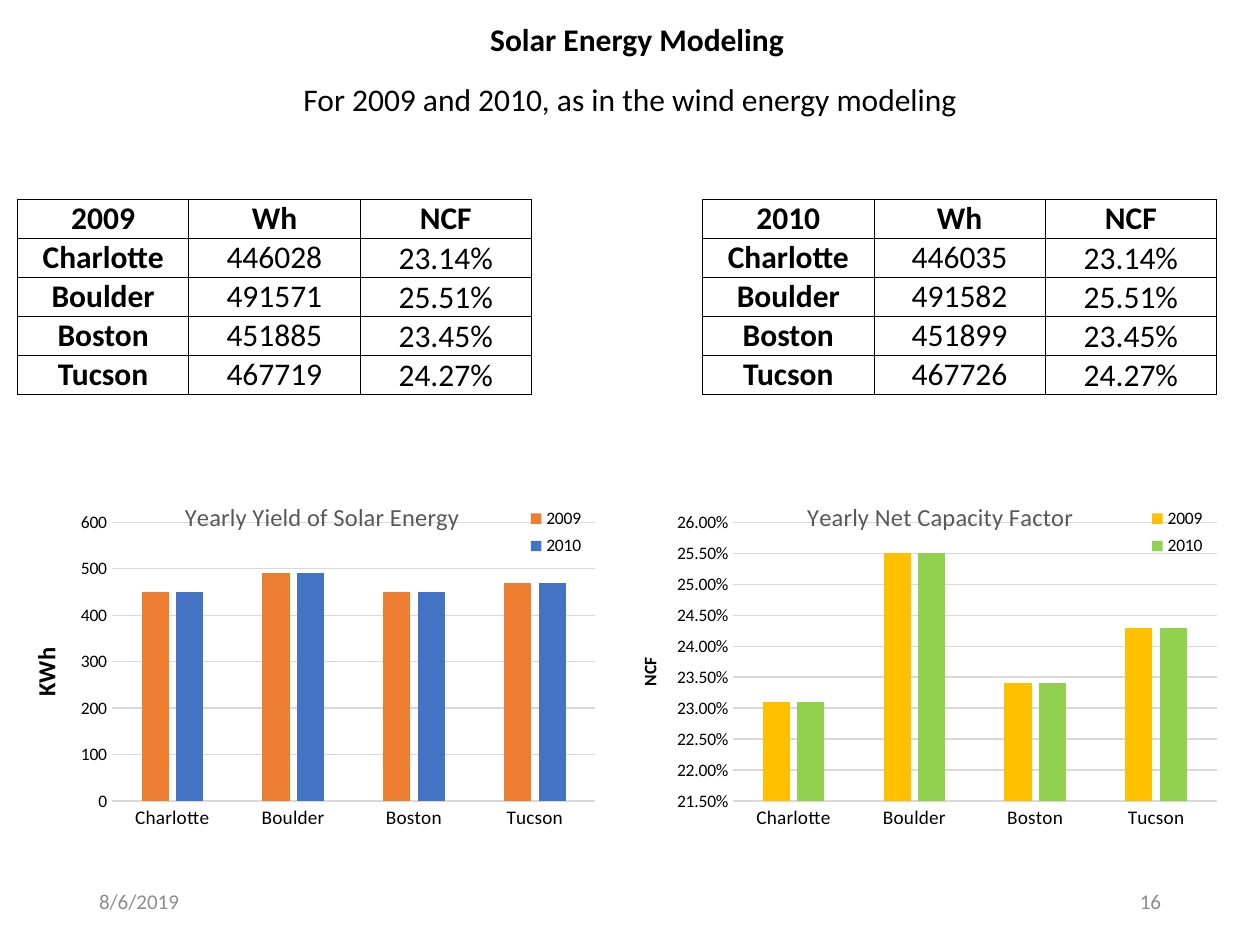
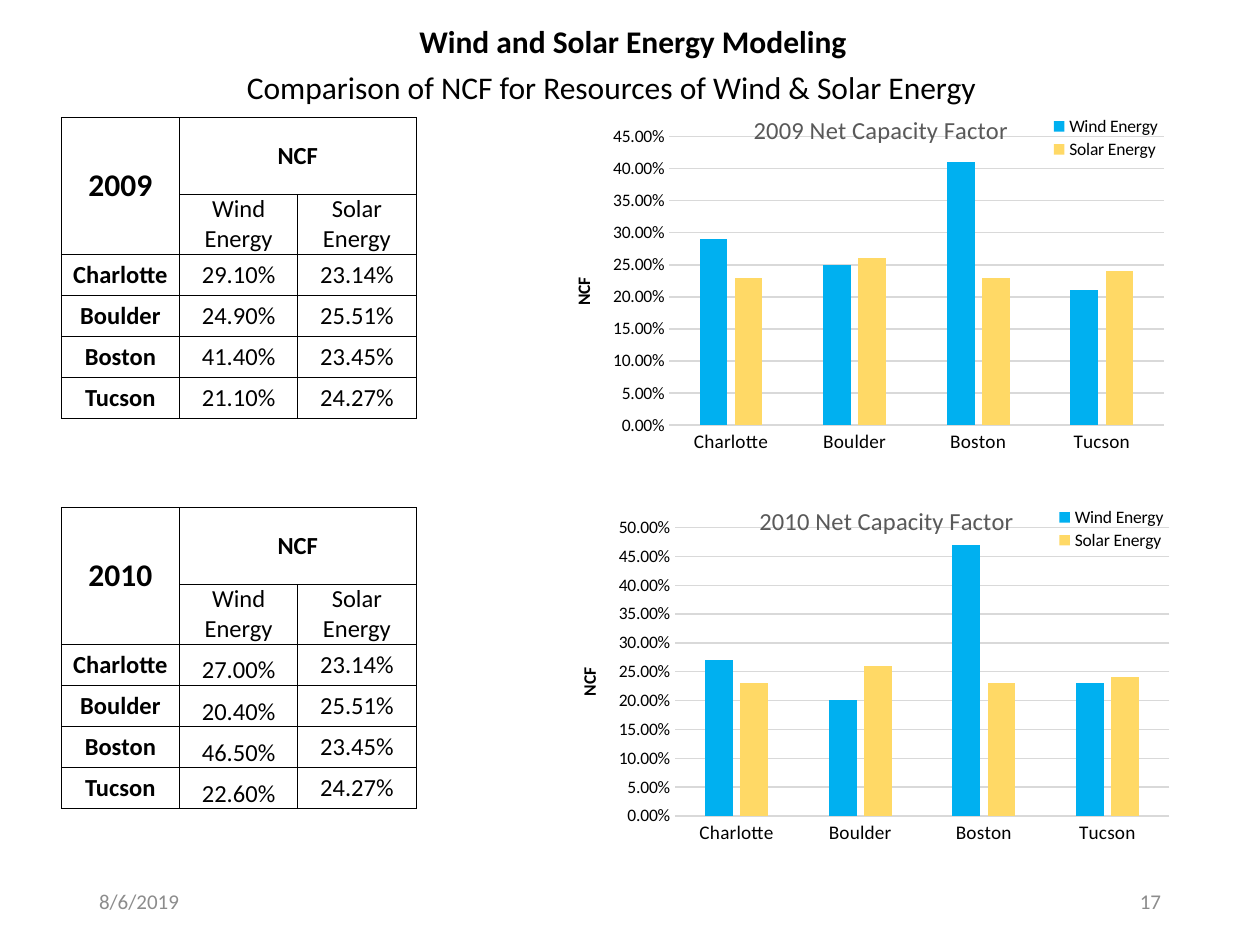
from dataclasses import dataclass

from lxml.etree import SubElement as Sub
from pptx import Presentation
from pptx.chart.data import CategoryChartData as Data
from pptx.dml.color import RGBColor as RGB
from pptx.enum.chart import XL_CHART_TYPE as Kind
from pptx.enum.chart import XL_LEGEND_POSITION as Side
from pptx.enum.chart import XL_TICK_MARK as Tick
from pptx.enum.text import MSO_ANCHOR as Anchor
from pptx.enum.text import PP_ALIGN as Align
from pptx.oxml.ns import qn
from pptx.util import Pt


@dataclass(frozen=True)
class Theme:
    font: str = "Calibri"
    ink: str = "000000"
    gray: str = "8C8C8C"
    dim: str = "595959"
    rule: str = "D9D9D9"
    orange: str = "ED7D31"
    blue: str = "4472C4"
    gold: str = "FFC000"
    green: str = "92D050"
    sky: str = "00B0F0"
    sand: str = "FFD966"
    head: int = 18
    mid: int = 14
    foot: int = 12
    axis: int = 11
    small: int = 10


# Data
CITIES = ["Charlotte", "Boulder", "Boston", "Tucson"]
YEARS = ["2009", "2010"]
YIELD = {"2009": [446028, 491571, 451885, 467719],
         "2010": [446035, 491582, 451899, 467726]}
SOLAR = [0.2314, 0.2551, 0.2345, 0.2427]
WIND = {"2009": [0.291, 0.249, 0.414, 0.211],
        "2010": [0.27, 0.204, 0.465, 0.226]}
PLAIN = "{2D5ABB26-0587-4C30-8999-92F81FD0307C}"


def apply(item, **values):
    for name, value in values.items():
        setattr(item, name, value)


def place(node, **spots):
    """Give a chart part a fixed place, in percent of the chart."""
    for old in node.findall(qn("c:layout")):
        node.remove(old)
    prior = [n for n in node if n.tag in (qn("c:tx"), qn("c:legendPos"))]
    frame = Sub(node, qn("c:layout"))
    node.insert(node.index(prior[0]) + 1 if prior else 0, frame)
    manual = Sub(frame, qn("c:manualLayout"))
    if node.tag == qn("c:plotArea"):
        Sub(manual, qn("c:layoutTarget"), val="inner")
    for key in "xy":
        Sub(manual, qn(f"c:{key}Mode"), val="edge")
    for key, value in spots.items():
        Sub(manual, qn(f"c:{key}"), val=f"{value / 100:.3f}")


class Deck:
    def __init__(self, theme):
        self.theme = theme
        self.show = Presentation()
        apply(self.show, slide_width=Pt(720), slide_height=Pt(540))
        self.slide = None

    def style(self, font, size, color=None, bold=False):
        apply(font, name=self.theme.font, size=Pt(size), bold=bold)
        font.color.rgb = RGB.from_string(color or self.theme.ink)

    def text(self, words, box, size, wrap=False, mid=False,
             align=Align.LEFT, **look):
        frame = self.slide.shapes.add_textbox(*map(Pt, box)).text_frame
        apply(frame, word_wrap=wrap,
              vertical_anchor=Anchor.MIDDLE if mid else Anchor.TOP)
        par = frame.paragraphs[0]
        par.alignment = align
        run = par.add_run()
        run.text = words
        self.style(run.font, size, **look)

    def page(self, number, title, title_box, lead, lead_box):
        self.slide = self.show.slides.add_slide(self.show.slide_layouts[6])
        t = self.theme
        for words, left, align in (("8/6/2019", 49.5, Align.LEFT),
                                   (number, 508.5, Align.RIGHT)):
            self.text(words, (left, 500.5, 162, 28.8), t.foot, wrap=True,
                      mid=True, align=align, color=t.gray)
        self.text(title, title_box, t.head, bold=True)
        self.text(lead, lead_box, t.head)

    def border(self, cell, sides):
        props = cell._tc.get_or_add_tcPr()
        for side in sides:
            line = Sub(props, qn(f"a:ln{side}"), w=str(Pt(0.5)))
            fill = Sub(line, qn("a:solidFill"))
            Sub(fill, qn("a:srgbClr"), val=self.theme.ink)

    def table(self, left, top, wide, highs, rows, size, first=None,
              heads=(0,), low=(), gap=None):
        """Draw a grid; low columns sit at the bottom, gap has no rules."""
        count = len(rows[0])
        frame = self.slide.shapes.add_table(
            len(rows), count, Pt(left), Pt(top), Pt(wide * count),
            Pt(sum(highs)))
        grid = frame.table
        grid._tbl.tblPr.find(qn("a:tableStyleId")).text = PLAIN
        apply(grid, first_row=False, horz_banding=False)
        for col in grid.columns:
            col.width = Pt(wide)
        for r, (row, high) in enumerate(zip(rows, highs)):
            grid.rows[r].height = Pt(high)
            for c, words in enumerate(row):
                cell = grid.cell(r, c)
                self.border(cell, "LR" if c == gap else "LRTB")
                cell.fill.background()
                drop = c in low and r >= len(rows) - len(CITIES)
                apply(cell, margin_left=0, margin_right=0, margin_top=0,
                      margin_bottom=0,
                      vertical_anchor=Anchor.BOTTOM if drop
                      else Anchor.MIDDLE)
                if words:
                    par = cell.text_frame.paragraphs[0]
                    par.alignment = Align.CENTER
                    run = par.add_run()
                    run.text = words
                    corner = first and r == c == 0
                    self.style(run.font, first if corner else size,
                               bold=r == 0 or c in heads)
        return grid

    def label(self, part, words, size, spot, **look):
        """Write a chart or axis title and fix its place."""
        frame = part.text_frame
        run = frame.paragraphs[0].add_run()
        run.text = words
        self.style(run.font, size, **look)
        place(part._element, x=spot[0], y=spot[1])
        return frame

    def chart(self, box, title, spot, series, digits, colors, scale, fmt,
              key, unit="NCF", unit_size=None, unit_spot=(0, 47.5)):
        t = self.theme
        data = Data(number_format=fmt)
        data.categories = CITIES
        for name, values in series.items():
            data.add_series(name, [round(v, digits) for v in values])
        chart = self.slide.shapes.add_chart(
            Kind.COLUMN_CLUSTERED, *map(Pt, box), data).chart
        self.style(chart.font, t.small)

        # Bars
        plot = chart.plots[0]
        apply(plot, gap_width=219, overlap=-27, vary_by_categories=False)
        for bar, color in zip(plot.series, colors):
            bar.format.fill.solid()
            bar.format.fill.fore_color.rgb = RGB.from_string(color)
        place(chart._chartSpace.find(".//" + qn("c:plotArea")),
              x=15.9, y=11.2, w=78.5, h=76.3)

        # Axes
        cat, val = chart.category_axis, chart.value_axis
        for axis, size in ((cat, t.axis), (val, t.small)):
            apply(axis, major_tick_mark=Tick.NONE, minor_tick_mark=Tick.NONE)
            self.style(axis.tick_labels.font, size)
        least, most, step = scale
        apply(val, minimum_scale=least, maximum_scale=most, major_unit=step,
              has_major_gridlines=True)
        apply(val.tick_labels, number_format=fmt,
              number_format_is_linked=False)
        val.format.line.fill.background()
        for line in (cat.format.line, val.major_gridlines.format.line):
            line.color.rgb = RGB.from_string(t.rule)
            line.width = Pt(0.75)

        # Titles and legend
        self.label(chart.chart_title, title, t.mid, spot, color=t.dim)
        side = self.label(val.axis_title, unit, unit_size or t.small,
                          unit_spot, bold=True)
        side._txBody.bodyPr.set("rot", "-5400000")
        side._txBody.bodyPr.set("vert", "horz")
        chart.has_legend = True
        apply(chart.legend, position=Side.RIGHT, include_in_layout=False)
        self.style(chart.legend.font, t.small)
        place(chart.legend._element, **key)


def solar(deck):
    t = deck.theme
    deck.page("16", "Solar Energy Modeling", (273, 8, 183.6, 28.8),
              "For 2009 and 2010, as in the wind energy modeling",
              (166.3, 42, 396.7, 28.8))

    # Both years side by side, with an open column between
    def block(year):
        lines = zip(CITIES, YIELD[year], SOLAR)
        return [[year, "Wh", "NCF"]] + [
            [city, str(wh), f"{ncf:.2%}"] for city, wh, ncf in lines]

    rows = [a + [""] + b for a, b in zip(*map(block, YEARS))]
    deck.table(10, 114.1, 97.9, [22.3] * 5, rows, t.head,
               heads=(0, 4), low=(2, 6), gap=3)

    key = dict(x=81, y=5.5, w=14, h=17)
    deck.chart((8, 275, 352, 209), "Yearly Yield of Solar Energy",
               (27, 4), {y: [wh / 1000 for wh in YIELD[y]] for y in YEARS},
               -1, (t.orange, t.blue), (0, 600, 100), "0", key,
               unit="KWh", unit_size=t.mid, unit_spot=(1.7, 44.2))
    deck.chart((363, 275, 352, 209), "Yearly Net Capacity Factor",
               (27.2, 4), {y: SOLAR for y in YEARS}, 3,
               (t.gold, t.green), (0.215, 0.26, 0.005), "0.00%", key)


def compare(deck):
    t = deck.theme
    deck.page("17", "Wind and Solar Energy Modeling",
              (232.5, 9, 260.6, 28.8),
              "Comparison of NCF for Resources of Wind & Solar Energy",
              (134, 35.3, 451.4, 28.8))
    key = dict(x=74.2, y=5, w=22, h=13)
    kinds = ["Wind Energy", "Solar Energy"]

    # One table and one chart for each year
    for year, top, box, most, low in (
            ("2009", 67.1, (325.2, 54, 360, 216), 0.45, ()),
            ("2010", 290, (328.4, 277.3, 360, 216), 0.5, (1,))):
        rows = [[year, "NCF", ""], [""] + kinds]
        rows += [[city, f"{wind:.2%}", f"{sun:.2%}"]
                 for city, wind, sun in zip(CITIES, WIND[year], SOLAR)]
        grid = deck.table(35, top, 67.6, [44, 34.2] + [23.5] * 4, rows,
                          t.mid, first=t.head, low=low)
        grid.cell(0, 0).merge(grid.cell(1, 0))
        grid.cell(0, 1).merge(grid.cell(0, 2))
        deck.chart(box, f"{year} Net Capacity Factor", (28.6, 3.7),
                   dict(zip(kinds, (WIND[year], SOLAR))), 2,
                   (t.sky, t.sand), (0, most, 0.05), "0.00%", key)


def main():
    deck = Deck(Theme())
    solar(deck)
    compare(deck)
    deck.show.save("out.pptx")


if __name__ == "__main__":
    main()
